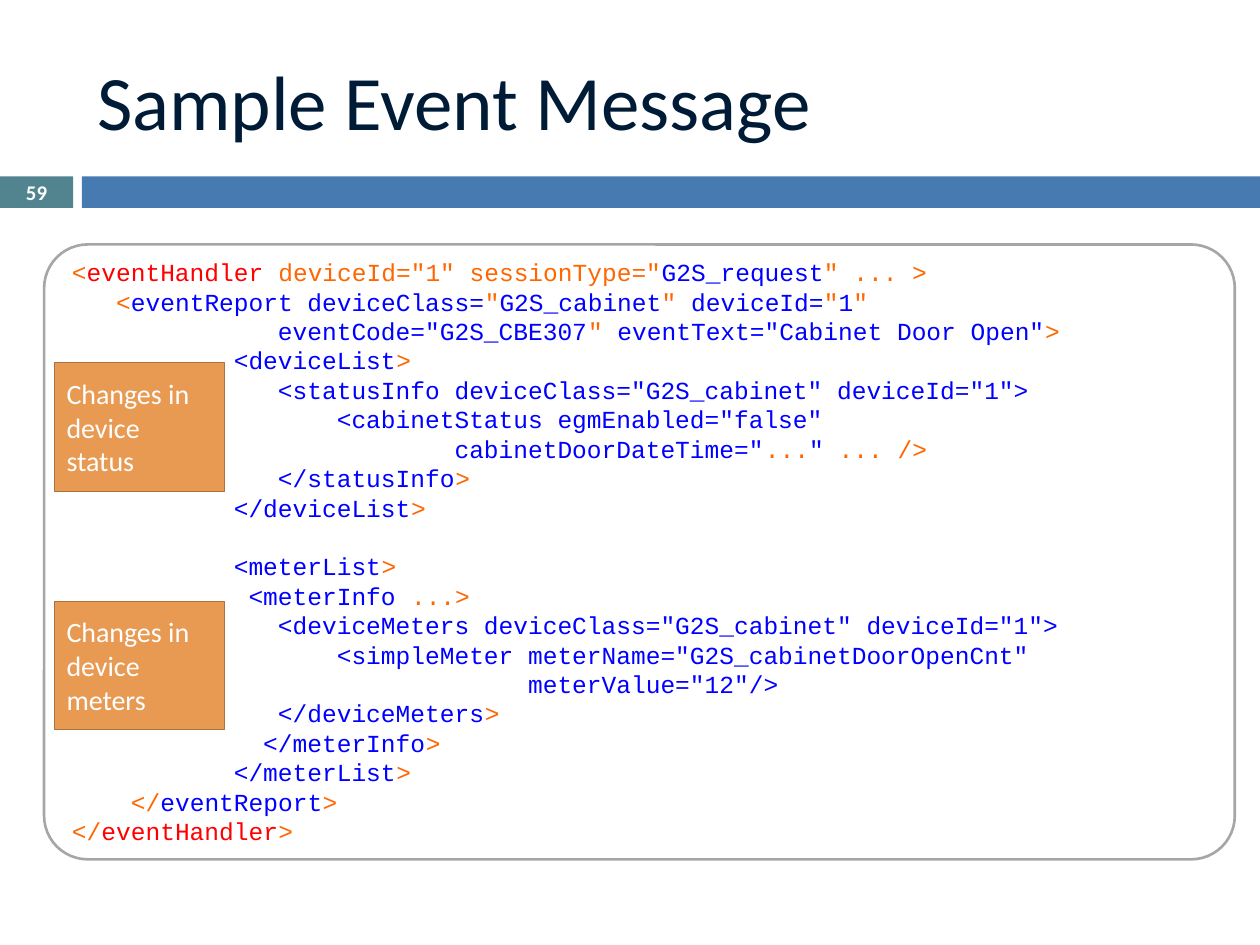
from pptx import Presentation
from pptx.dml.color import RGBColor
from pptx.enum.shapes import MSO_SHAPE as Shape
from pptx.enum.text import MSO_ANCHOR as Anchor, PP_ALIGN as Align
from pptx.util import Inches, Pt

WHITE = RGBColor(0xFF, 0xFF, 0xFF)
NAVY = RGBColor(0x00, 0x1B, 0x36)
TEAL = RGBColor(0x51, 0x84, 0x8E)
BAR_BLUE = RGBColor(0x47, 0x7A, 0xB1)
GRAY = RGBColor(0xA6, 0xA6, 0xA6)
CALLOUT = RGBColor(0xE8, 0x9A, 0x53)
CALLOUT_EDGE = RGBColor(0xAC, 0x72, 0x3D)
ORANGE = RGBColor(0xFF, 0x66, 0x00)
BLUE = RGBColor(0x00, 0x00, 0xFF)
RED = RGBColor(0xFF, 0x00, 0x00)

BODY_FONT, CODE_FONT = "Calibri", "Courier New"
CODE_SIZE, CODE_LEADING = 14, 16.8

# Each "|" switches between orange and blue, starting with orange
EVENT_REPORT = [
    '<|eventHandler |deviceId="1" sessionType="|G2S_request|" ... >',
    '   <|eventReport deviceClass=|"|G2S_cabinet|" |deviceId=|"|1|"',
    '|              eventCode="G2S_CBE307|" |eventText="Cabinet Door Open"|>',
]
DEVICE_LIST = [
    '|           <deviceList|>',
    '|              <statusInfo deviceClass="G2S_cabinet" deviceId="1">',
    '|                  <cabinetStatus egmEnabled="false"',
    '|                          cabinetDoorDateTime="|...|" |... />',
    '|              </statusInfo|>',
    '|           </deviceList|>',
]
METER_LIST = [
    '|           <meterList|>',
    '|            <meterInfo |...>',
    '|              <deviceMeters deviceClass="G2S_cabinet" deviceId="1">',
    '|                  <simpleMeter meterName="G2S_cabinetDoorOpenCnt"',
    '|                               meterValue="12"/>',
    '|              </deviceMeters|>',
    '|             </meterInfo|>',
    '|           </meterList|>',
]
CLOSING = [
    '    </|eventReport|>',
    '</|eventHandler|>',
]


def add_span(para, text, size=CODE_SIZE, font=CODE_FONT, color=WHITE, bold=False):
    span = para.add_run()
    span.text = text
    span.font.size = Pt(size)
    span.font.name = font
    span.font.color.rgb = color
    span.font.bold = bold


def write_text(box, text, align=Align.LEFT, **style):
    frame = box.text_frame
    frame.word_wrap = True
    frame.vertical_anchor = Anchor.MIDDLE
    para = frame.paragraphs[0]
    para.alignment = align
    add_span(para, text, font=BODY_FONT, **style)


def add_box(page, kind, place, fill, edge=None, width=1):
    box = page.shapes.add_shape(kind, *map(Inches, place))
    box.shadow.inherit = False
    box.fill.solid()
    box.fill.fore_color.rgb = fill
    if edge is None:
        box.line.fill.background()
    else:
        box.line.color.rgb = edge
        box.line.width = Pt(width)
    return box


def add_header(page):
    # Title and the band with the page number
    add_box(page, Shape.RECTANGLE, (0, 1.4, 0.58, 0.25), TEAL)
    add_box(page, Shape.RECTANGLE, (0.65, 1.4, 9.35, 0.25), BAR_BLUE)
    title = page.shapes.title
    title.left, title.top, title.width, title.height = map(
        Inches, (0.67, 0.25, 8.92, 1.08))
    write_text(title, "Sample Event Message", size=44, color=NAVY)
    number = page.shapes.add_textbox(*map(Inches, (0, 1.39, 0.58, 0.27)))
    write_text(number, "59", align=Align.CENTER, size=11.9, bold=True)


def add_code_line(para, line):
    para.alignment = Align.LEFT
    para.line_spacing = Pt(CODE_LEADING)
    for index, text in enumerate(line.split("|")):
        if not text:
            continue
        color = BLUE if index % 2 else ORANGE
        if text.startswith("eventHandler"):
            color = RED
        add_span(para, text, color=color)


def add_code_panel(page, sections):
    panel = add_box(page, Shape.ROUNDED_RECTANGLE, (0.35, 1.94, 9.45, 4.88),
                    WHITE, GRAY, 1.5)
    panel.adjustments[0] = 0.071
    frame = panel.text_frame
    frame.word_wrap = False
    frame.vertical_anchor = Anchor.TOP
    frame.margin_left, frame.margin_top = Inches(0.12), 0
    para = frame.paragraphs[0]
    for section in sections:
        for line in section:
            if para.runs:
                para = frame.add_paragraph()
            add_code_line(para, line)
            if line is METER_LIST[0]:
                para.space_before = Pt(CODE_LEADING)


def add_callout(page, top, text):
    box = add_box(page, Shape.RECTANGLE, (0.43, top, 1.35, 1.02),
                  CALLOUT, CALLOUT_EDGE, 0.5)
    write_text(box, text, size=16)


def main():
    deck = Presentation()
    deck.slide_width, deck.slide_height = Inches(10), Inches(7.5)
    page = deck.slides.add_slide(deck.slide_layouts[5])
    add_header(page)
    add_code_panel(page, (EVENT_REPORT, DEVICE_LIST, METER_LIST, CLOSING))
    add_callout(page, 2.88, "Changes in device status")
    add_callout(page, 4.77, "Changes in device meters")
    deck.save("out.pptx")


if __name__ == "__main__":
    main()
